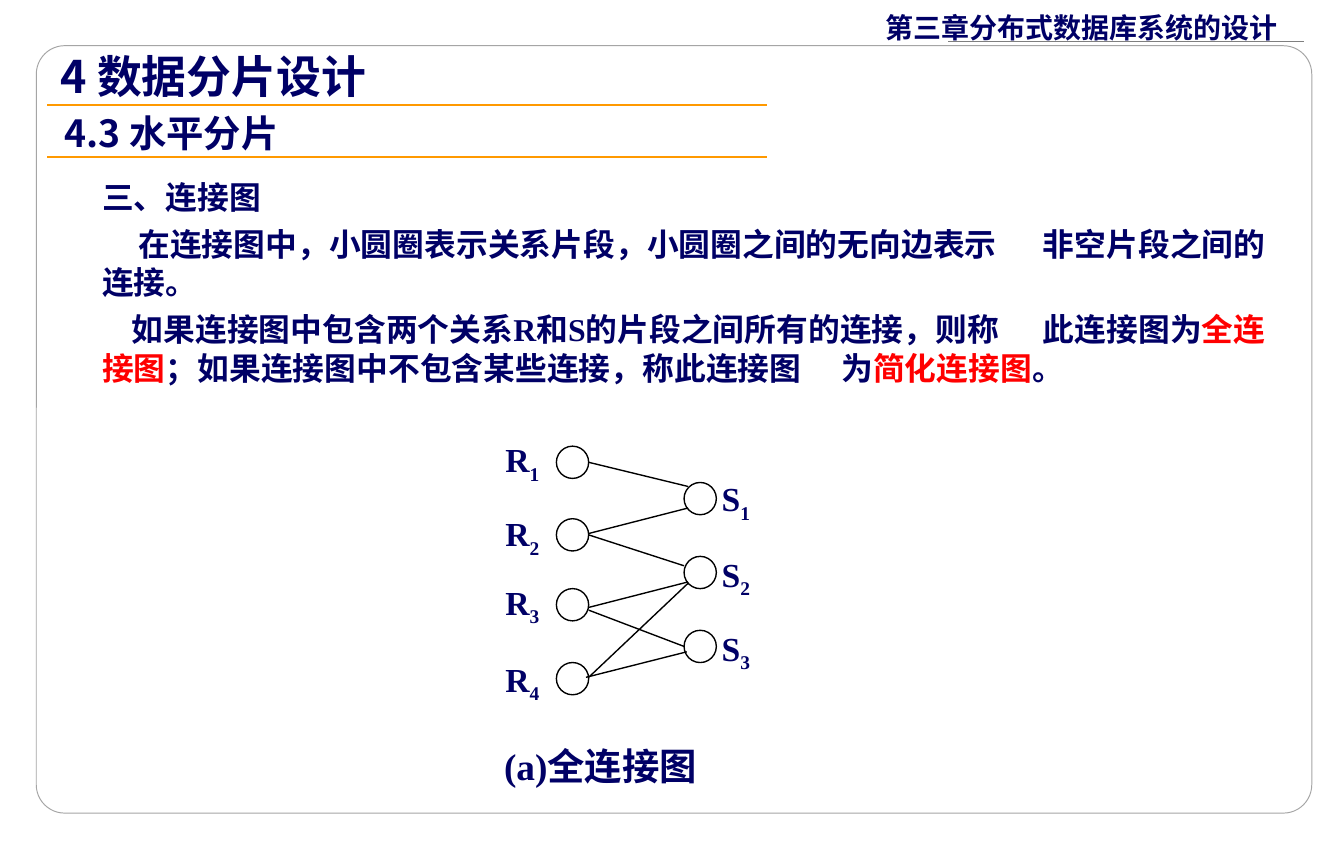
from pptx import Presentation
from pptx.dml.color import RGBColor
from pptx.enum.shapes import MSO_CONNECTOR, MSO_SHAPE
from pptx.enum.text import MSO_ANCHOR, MSO_AUTO_SIZE, PP_ALIGN
from pptx.oxml.ns import qn
from pptx.util import Inches, Pt
from lxml import etree

NAVY, RED, ORANGE, BLACK = "000066", "FF0000", "FF9900", "000000"
SANS, SERIF = "Noto Sans CJK SC", "Times New Roman"


def write(sp, paragraphs, size, font=SERIF, before=0, inset=0.09):
    """Fill a shape with paragraphs, each a list of (text, options) runs."""
    tf = sp.text_frame
    tf.word_wrap = True
    tf.auto_size = MSO_AUTO_SIZE.NONE
    tf.vertical_anchor = MSO_ANCHOR.TOP
    tf.margin_left = tf.margin_right = Inches(inset)
    tf.margin_top = tf.margin_bottom = Inches(0.05)
    for i, runs in enumerate(paragraphs):
        p = tf.add_paragraph() if i else tf.paragraphs[0]
        p.alignment = PP_ALIGN.LEFT
        if i:
            p.space_before = Pt(before)
        for text, options in runs:
            r = p.add_run()
            r.text = text
            r.font.size = Pt(size)
            r.font.bold = True
            r.font.name = options.get("font", font)
            r.font.color.rgb = RGBColor.from_string(options.get("color", NAVY))
            rPr = r.font._element
            etree.SubElement(rPr, qn("a:ea")).set("typeface", SANS)
            if options.get("subscript"):
                rPr.set("baseline", "-25000")


def add_line(x1, y1, x2, y2, color=BLACK, width=0.75):
    line = s.shapes.add_connector(MSO_CONNECTOR.STRAIGHT, Inches(x1), Inches(y1),
                                  Inches(x2), Inches(y2))
    line.line.color.rgb = RGBColor.from_string(color)
    line.line.width = Pt(width)
    etree.SubElement(line._element.spPr, qn("a:effectLst"))


prs = Presentation()
prs.slide_width, prs.slide_height = Inches(10), Inches(6.28)
s = prs.slides.add_slide(prs.slide_layouts[5])

# Rounded frame, behind everything
frame = s.shapes.add_shape(MSO_SHAPE.ROUNDED_RECTANGLE, Inches(0.27), Inches(0.34),
                           Inches(9.49), Inches(5.71))
frame.adjustments[0] = 0.037
frame.shadow.inherit = False
frame.fill.solid()
frame.fill.fore_color.rgb = RGBColor.from_string("FFFFFF")
frame.line.color.rgb = RGBColor.from_string("A5A5A5")
frame.line.width = Pt(0.5)
s.shapes._spTree.insert(2, frame._element)

# Chapter header
header = s.shapes.add_textbox(Inches(6.5), Inches(0.03), Inches(3.15), Inches(0.34))
write(header, [[("第三章", {"font": SANS}), ("分布式数据库系统的设计", {})]], 15)
add_line(9.7, 0.31, 7.05, 0.31, "7F7F7F")

# Title and section heading, each underlined
title = s.shapes.title
title.left, title.top = Inches(0.35), Inches(0.31)
title.width, title.height = Inches(5), Inches(0.5)
write(title, [[("4 数据分片设计", {})]], 24, SANS, inset=0.1)
section = s.shapes.add_textbox(Inches(0.38), Inches(0.77), Inches(5.8), Inches(0.44))
write(section, [[("4.3 水平分片", {})]], 20, SANS, inset=0.1)
for y in (0.78, 1.17):
    add_line(0.35, y, 5.71, y, ORANGE, 1)

# Body text
body = s.shapes.add_textbox(Inches(0.67), Inches(1.27), Inches(8.9), Inches(2.36))
write(body, [
    [("三、连接图", {})],
    [("在连接图中，小圆圈表示关系片段，小圆圈之间的无向边表示\t非空片段之间的连接。", {})],
    [("如果连接图中包含两个关系R和S的片段之间所有的连接，则称\t此连接图为", {}),
     ("全连接图", {"color": RED}),
     ("；如果连接图中不包含某些连接，称此连接图\t为", {}),
     ("简化连接图", {"color": RED}),
     ("。", {})],
], 17, before=5)

# First-line indents and the tab stops that make the gaps
body_layout = [(0.27, [7.35]), (0.22, [6.51, 7.59])]
for p, (indent, stops) in zip(body.text_frame.paragraphs[1:], body_layout):
    pPr = p._p.get_or_add_pPr()
    pPr.set("marL", "0")
    pPr.set("indent", str(Inches(indent)))
    tabs = etree.SubElement(pPr, qn("a:tabLst"))
    for stop in stops:
        etree.SubElement(tabs, qn("a:tab"), pos=str(Inches(stop)), algn="l")

# Fragments: letter, circle left, label left, then circle and label tops
fragments = [
    ("R", 4.14, 3.67, [(3.32, 3.22), (3.86, 3.77), (4.38, 4.28), (4.93, 4.85)]),
    ("S", 5.09, 5.28, [(3.59, 3.51), (4.14, 4.07), (4.69, 4.62)]),
]
for letter, circle_x, label_x, tops in fragments:
    for number, (circle_y, label_y) in enumerate(tops, 1):
        circle = s.shapes.add_shape(MSO_SHAPE.OVAL, Inches(circle_x), Inches(circle_y),
                                    Inches(0.24), Inches(0.24))
        circle.shadow.inherit = False
        circle.fill.background()
        circle.line.color.rgb = RGBColor.from_string(BLACK)
        circle.line.width = Pt(0.75)
        label = s.shapes.add_textbox(Inches(label_x), Inches(label_y),
                                     Inches(0.79), Inches(0.39))
        write(label, [[(letter, {}), (str(number), {"subscript": True})]], 18)

# Joins between fragments
joins = [
    (4.38, 3.44, 5.12, 3.62),  # R1-S1
    (4.38, 3.97, 5.12, 3.78),  # R2-S1
    (4.38, 3.98, 5.09, 4.21),  # R2-S2
    (4.38, 4.52, 5.12, 4.33),  # R3-S2
    (4.38, 4.54, 5.09, 4.81),  # R3-S3
    (4.38, 5.04, 5.12, 4.34),  # R4-S2
    (4.36, 5.04, 5.11, 4.85),  # R4-S3
]
for join in joins:
    add_line(*join)

# Caption
caption = s.shapes.add_textbox(Inches(3.66), Inches(5.48), Inches(2.01), Inches(0.39))
write(caption, [[("(a)全连接图", {})]], 20)

prs.save("out.pptx")
